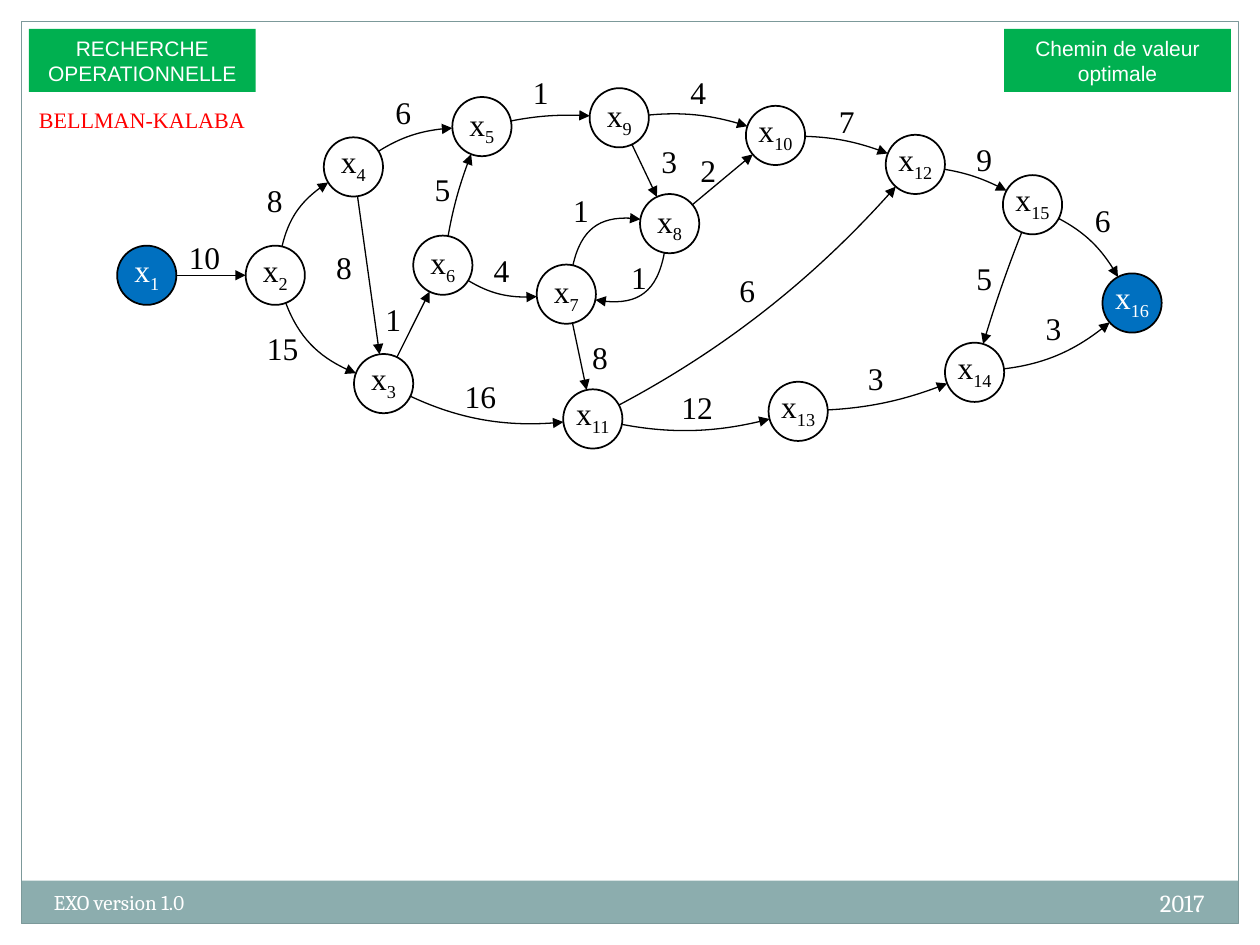
from math import hypot

from lxml import etree
from pptx import Presentation
from pptx.dml.color import RGBColor
from pptx.enum import shapes, text
from pptx.oxml.ns import qn
from pptx.util import Inches, Pt

SERIF = "Times New Roman"
NODE_SIZE = 0.47
RADIUS = NODE_SIZE / 2
TERMINALS = (1, 16)
# Top left corner of each node x1 to x16
NODES = [
    (0.93, 1.95), (1.95, 1.95), (2.81, 2.81), (2.57, 1.09),
    (3.59, 0.77), (3.28, 1.87), (4.26, 2.1), (5.08, 1.54),
    (4.68, 0.7), (5.92, 0.84), (4.47, 3.09), (7.03, 1.07),
    (6.1, 3.03), (7.5, 2.72), (7.96, 1.39), (8.75, 2.17),
]
# From node, to node, sag (positive is right of the way), value, its left and top
ARCS = [
    (1, 2, 0, "10", 1.4, 1.84),
    (2, 4, -0.16, "8", 2.02, 1.39),
    (2, 3, 0.19, "15", 2.02, 2.56),
    (4, 5, -0.1, "6", 3.04, 0.69),
    (4, 3, 0, "8", 2.57, 1.92),
    (3, 6, 0, "1", 2.96, 2.33),
    (3, 11, 0.15, "16", 3.59, 2.94),
    (6, 5, -0.04, "5", 3.35, 1.3),
    (6, 7, 0.12, "4", 3.82, 1.94),
    (5, 9, -0.05, "1", 4.13, 0.53),
    (7, 8, -0.34, "1", 4.45, 1.47),
    (8, 7, -0.37, "1", 4.91, 2),
    (7, 11, 0, "8", 4.6, 2.63),
    (9, 8, 0, "3", 5.15, 1.08),
    (9, 10, -0.09, "4", 5.38, 0.53),
    (8, 10, 0, "2", 5.46, 1.15),
    (10, 12, -0.07, "7", 6.56, 0.76),
    (11, 12, 0.17, "6", 5.77, 2.1),
    (11, 13, 0.12, "12", 5.31, 3.03),
    (12, 15, -0.06, "9", 7.65, 1.06),
    (13, 14, 0.08, "3", 6.79, 2.8),
    (15, 14, 0.02, "5", 7.65, 2.01),
    (14, 16, 0.14, "3", 8.2, 2.4),
    (15, 16, -0.12, "6", 8.59, 1.55),
]


def color(code):
    return RGBColor.from_string(code)


def style_text(frame, font, size, code, align=text.PP_ALIGN.LEFT):
    frame.word_wrap = True
    for paragraph in frame.paragraphs:
        paragraph.alignment = align
        for run in paragraph.runs:
            run.font.name, run.font.size = font, Pt(size)
            run.font.color.rgb = color(code)


def add_text(slide, box, words, font, size, code, align=text.PP_ALIGN.LEFT):
    frame = slide.shapes.add_textbox(*map(Inches, box)).text_frame
    frame.text = words
    style_text(frame, font, size, code, align)


def add_block(slide, box, preset, fill=None, line=None, width=0.75):
    block = slide.shapes.add_shape(preset, *map(Inches, box))
    block.shadow.inherit = False
    if fill:
        block.fill.solid()
        block.fill.fore_color.rgb = color(fill)
    else:
        block.fill.background()
    if line:
        block.line.color.rgb = color(line)
        block.line.width = Pt(width)
    else:
        block.line.fill.background()
    return block


def add_frame(slide, box):
    """Page border with the footer band along its bottom edge."""
    left, top, width, height = box
    rectangle = shapes.MSO_SHAPE.RECTANGLE
    band_top = top + height - 0.34
    add_block(slide, (left, band_top, width, 0.34), rectangle, fill="8CADAE")
    add_block(slide, box, rectangle, line="7C999A")
    add_text(slide, (left + width - 3.5, band_top + 0.01, 3.33, 0.4), "2017",
             "Cambria", 14, "FFFFFF", text.PP_ALIGN.RIGHT)
    add_text(slide, (left + 0.16, band_top + 0.02, 3.92, 0.4), "EXO version 1.0",
             "Cambria", 12, "FFFFFF")


def add_tag(slide, box, words):
    tag = add_block(slide, box, shapes.MSO_SHAPE.RECTANGLE, fill="00B050")
    frame = tag.text_frame
    frame.text = words
    frame.vertical_anchor = text.MSO_ANCHOR.TOP
    style_text(frame, "Arial", 12, "FFFFFF", text.PP_ALIGN.CENTER)


def set_title(slide, box, words):
    title = slide.shapes.title
    title.left, title.top, title.width, title.height = map(Inches, box)
    frame = title.text_frame
    frame.text = words
    frame.auto_size = text.MSO_AUTO_SIZE.NONE
    frame.vertical_anchor = text.MSO_ANCHOR.BOTTOM
    frame.paragraphs[0].line_spacing = 0.8
    style_text(frame, SERIF, 12.6, "FF0000", text.PP_ALIGN.CENTER)


def toward(start, goal, distance):
    dx, dy = goal[0] - start[0], goal[1] - start[1]
    share = distance / hypot(dx, dy)
    return start[0] + dx * share, start[1] + dy * share


def arc_route(source, target, sag):
    """Rim, two Bezier controls, rim: the middle lies sag away from the centre line."""
    dx, dy = target[0] - source[0], target[1] - source[1]
    length = hypot(dx, dy)
    rise = sag / (0.5 + RADIUS / length) / length
    bend = ((source[0] + target[0]) / 2 - dy * rise,
            (source[1] + target[1]) / 2 + dx * rise)
    start, end = toward(source, bend, RADIUS), toward(target, bend, RADIUS)
    controls = [tuple((p + 2 * b) / 3 for p, b in zip(rim, bend)) for rim in (start, end)]
    return [start, *controls, end]


def add_curve(slide, points):
    builder = slide.shapes.build_freeform(*points[0])
    builder.add_line_segments(points[1:], close=False)
    curve = builder.convert_to_shape()
    curve.fill.background()
    outline = curve._element.find(".//" + qn("a:path"))
    bezier = etree.SubElement(outline, qn("a:cubicBezTo"))
    for step in outline.findall(qn("a:lnTo")):
        bezier.append(step[0])
        outline.remove(step)
    return curve


def add_arc(slide, source, target, sag):
    points = [(Inches(x), Inches(y)) for x, y in arc_route(source, target, sag)]
    if sag:
        arc = add_curve(slide, points)
    else:
        arc = slide.shapes.add_connector(shapes.MSO_CONNECTOR.STRAIGHT, *points[0], *points[-1])
    arc.line.color.rgb = color("000000")
    arc.line.width = Pt(0.75)
    etree.SubElement(arc.line._get_or_add_ln(), qn("a:tailEnd"), type="triangle")
    etree.SubElement(arc._element.spPr, qn("a:effectLst"))


def add_node(slide, left, top, number):
    terminal = number in TERMINALS
    node = add_block(slide, (left, top, NODE_SIZE, NODE_SIZE), shapes.MSO_SHAPE.OVAL,
                     "0070C0" if terminal else None, "000000", 1)
    frame = node.text_frame
    frame.margin_left = frame.margin_right = Inches(0.04 if number < 10 else 0)
    frame.margin_top = Inches(0.04 if 5 <= number <= 9 else 0)
    frame.margin_bottom = Inches(0.05)
    frame.vertical_anchor = text.MSO_ANCHOR.MIDDLE
    frame.text = "x"
    index = frame.paragraphs[0].add_run()
    index.text = str(number)
    style_text(frame, SERIF, 18, "FFFFFF" if terminal else "000000", text.PP_ALIGN.CENTER)
    index.font._element.set("baseline", "-25000")


def add_graph(slide, left, top):
    corners = [(left + x, top + y) for x, y in NODES]
    centres = [(x + RADIUS, y + RADIUS) for x, y in corners]
    for source, target, sag, value, x, y in ARCS:
        add_arc(slide, centres[source - 1], centres[target - 1], sag)
        width = 0.31 if len(value) == 1 else 0.47
        add_text(slide, (left + x, top + y, width, 0.4), value, SERIF, 18, "000000")
    for number, corner in enumerate(corners, 1):
        add_node(slide, *corner, number)


def main():
    deck = Presentation()
    deck.slide_width, deck.slide_height = Inches(10), Inches(7.5)
    slide = deck.slides.add_slide(deck.slide_layouts[5])
    add_frame(slide, (0.17, 0.17, 9.66, 7.16))
    add_tag(slide, (0.23, 0.23, 1.8, 0.5), "RECHERCHE\nOPERATIONNELLE")
    add_tag(slide, (7.97, 0.23, 1.8, 0.5), "Chemin de valeur\noptimale")
    set_title(slide, (0.14, 0.79, 1.97, 0.31), "BELLMAN-KALABA")
    add_graph(slide, 0, 0)
    deck.save("out.pptx")


if __name__ == "__main__":
    main()
